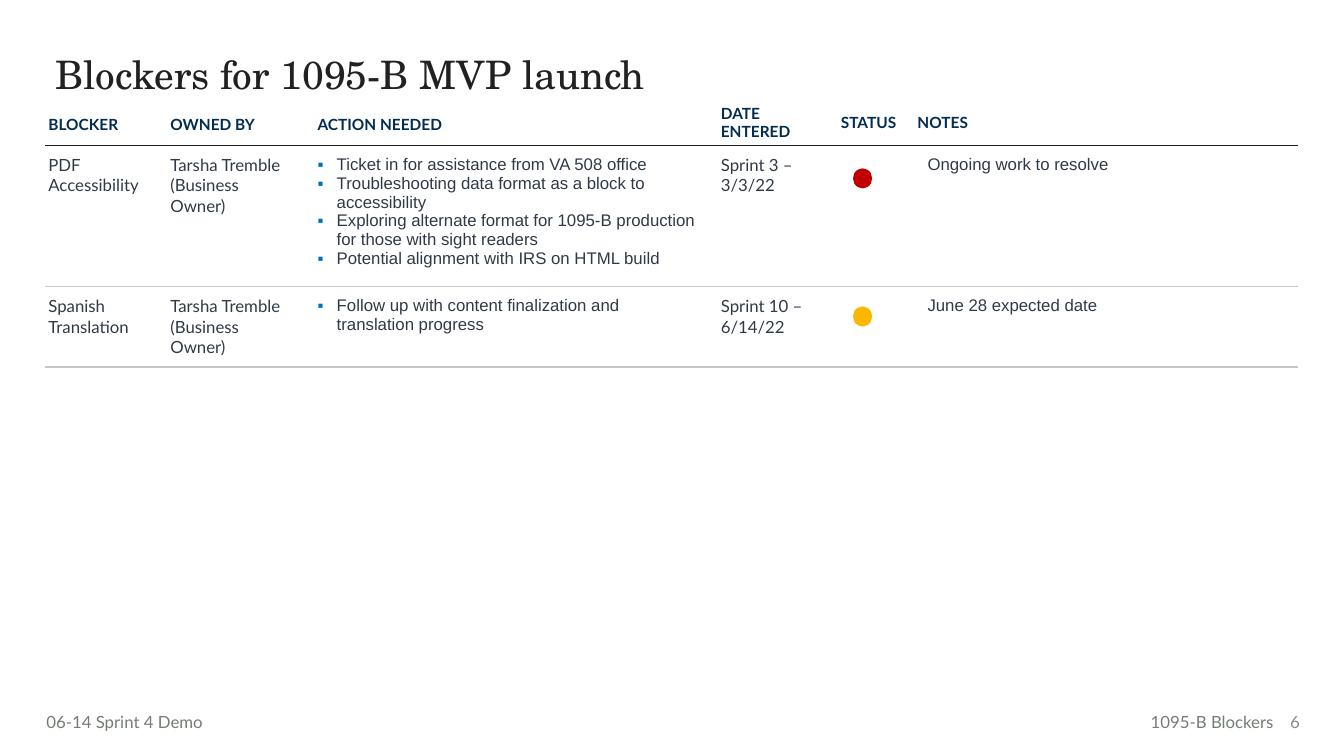
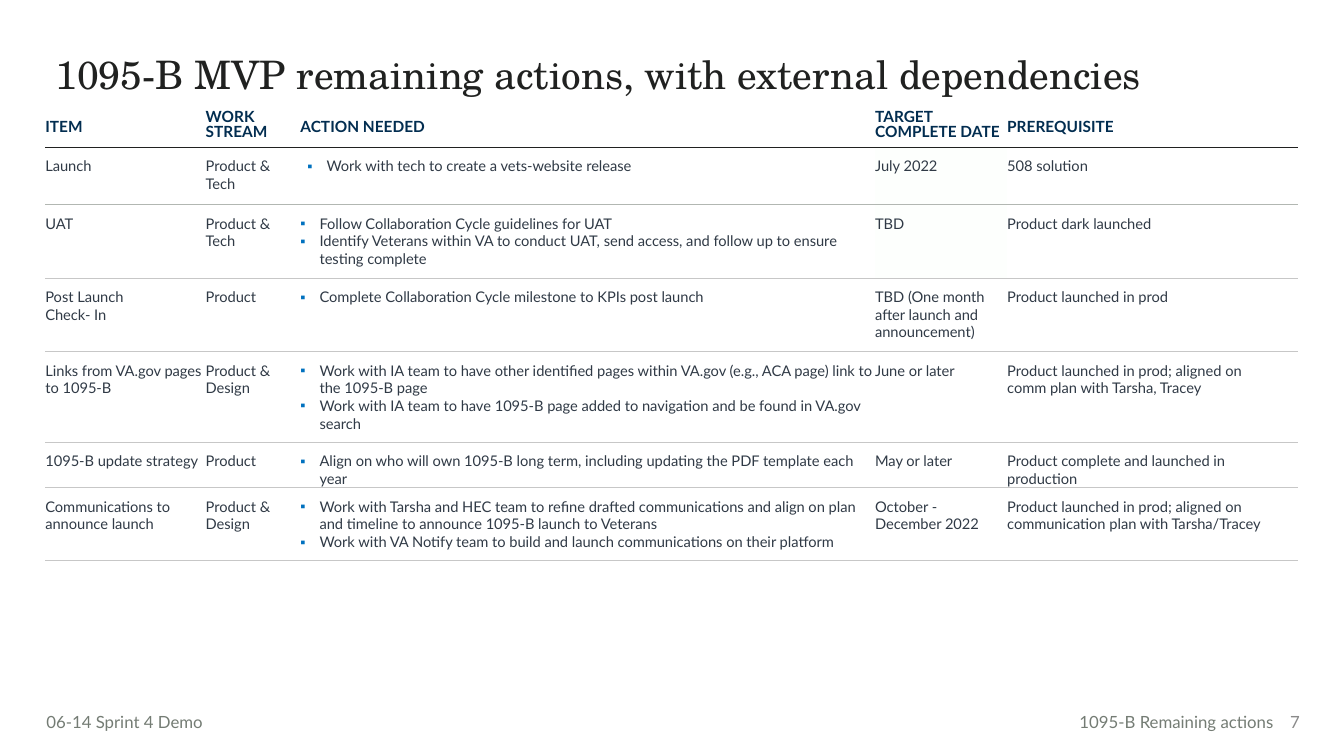
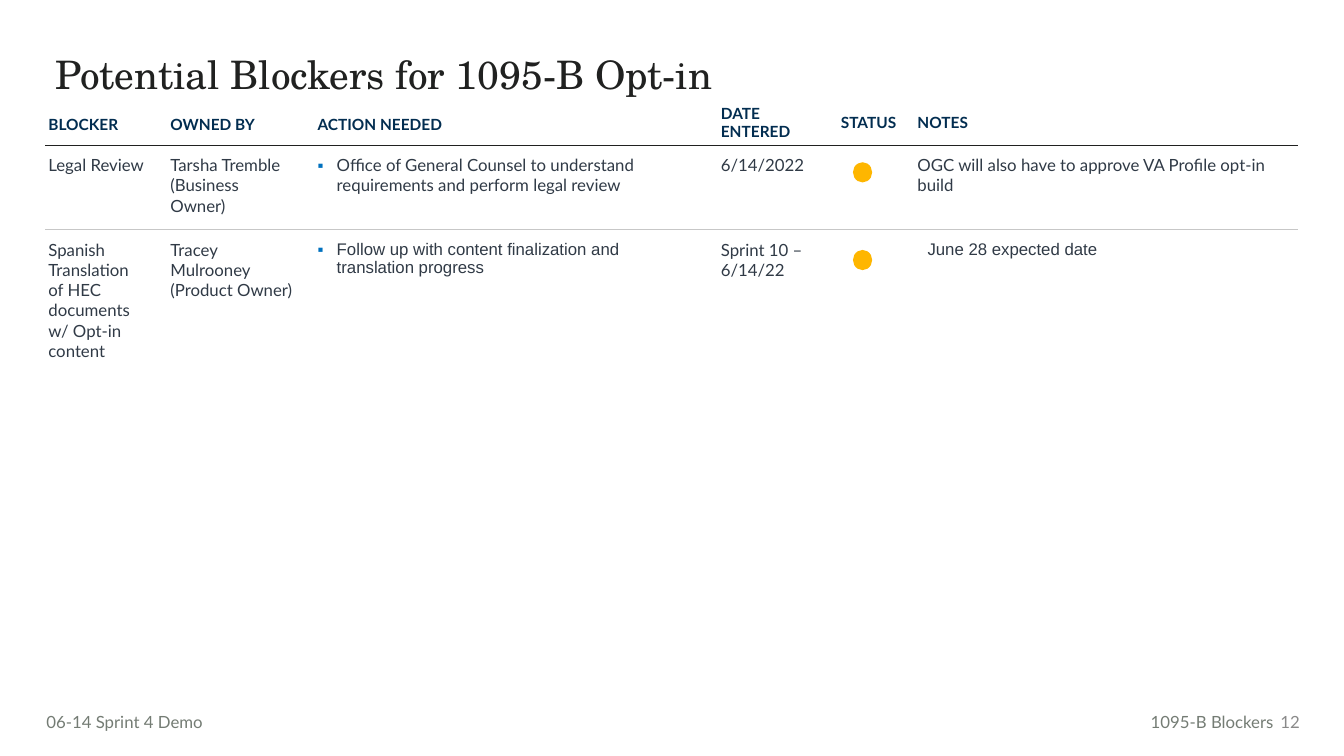
from dataclasses import dataclass
from typing import Any, Optional

import pptx
import pptx.dml.color
import pptx.enum.shapes
import pptx.enum.text
import pptx.oxml
import pptx.oxml.ns
import pptx.util

Inches = pptx.util.Inches
Pt = pptx.util.Pt
RGBColor = pptx.dml.color.RGBColor
Align = pptx.enum.text.PP_ALIGN
Anchor = pptx.enum.text.MSO_ANCHOR

INK = RGBColor(0x20, 0x21, 0x20)
NAVY = RGBColor(0x02, 0x2D, 0x50)
SLATE = RGBColor(0x30, 0x3A, 0x46)
BLUE = RGBColor(0x00, 0x71, 0xBF)
FOOTER_GRAY = RGBColor(0x74, 0x7C, 0x74)
NUMBER_GRAY = RGBColor(0x8A, 0x8A, 0x8A)
RULE_GRAY = RGBColor(0xC7, 0xC7, 0xC7)
RULE_DARK = RGBColor(0xB2, 0xB7, 0xB2)
PALE_GREEN = RGBColor(0xFD, 0xFF, 0xFD)
RED = RGBColor(0xC0, 0x00, 0x00)
AMBER = RGBColor(0xFE, 0xB6, 0x00)

LATO, ARIAL, SCHOLA = "Lato", "Arial", "TeX Gyre Schola"
TABLE_LEFT, TABLE_TOP, TABLE_WIDTH = 0.45, 1.0, 12.42
FOOTER_RIGHT = 12.73
DOT_LEFT, DOT_WIDTH, DOT_HEIGHT = 8.46, 0.19, 0.2
BULLET_COLUMN = 2
BULLET_HANG = 0.19


@dataclass(frozen=True)
class Style:
    size: float
    color: RGBColor
    font: str = LATO
    bold: bool = False


@dataclass(frozen=True)
class Rule:
    color: RGBColor = RULE_GRAY
    width: float = 1


@dataclass(frozen=True)
class Cell:
    """Table cell; a line break in the text starts a new paragraph."""
    text: str = ""
    font: str = LATO
    indent: float = 0
    spacing: float = 1
    anchor: Anchor = Anchor.TOP
    fill: Optional[RGBColor] = None


@dataclass(frozen=True)
class Row:
    height: float
    cells: tuple[Cell, ...]
    below: Optional[Rule] = Rule()
    tight: tuple[int, ...] = ()  # columns without a right margin
    bottom: float = 0.1


@dataclass(frozen=True)
class Grid:
    columns: tuple[float, ...]
    left_margins: tuple[float, ...]
    right_margins: tuple[float, ...]
    head_bottom: float
    body: Style


@dataclass(frozen=True)
class Dot:
    top: float
    color: RGBColor


@dataclass(frozen=True)
class Page:
    title: str
    number: int
    footer: str
    footer_width: float
    grid: Grid
    rows: tuple[Row, ...]
    dots: tuple[Dot, ...] = ()


TITLE = Style(28, INK, SCHOLA)
HEAD = Style(11, NAVY, bold=True)
FOOTER = Style(12, FOOTER_GRAY)
NUMBER = Style(12, NUMBER_GRAY)

BLOCKER_GRID = Grid(
    columns=(1.21, 1.46, 4, 1.19, 0.69, 3.87),
    left_margins=(0.03, 0.03, 0.03, 0.03, 0.03, 0.1),
    right_margins=(0.2, 0.2, 0.2, 0.03, 0.03, 0.03),
    head_bottom=0.03,
    body=Style(12, SLATE),
)
ACTION_GRID = Grid(
    columns=(1.59, 0.94, 5.7, 1.31, 2.88),
    left_margins=(0,) * 5,
    right_margins=(0.2,) * 5,
    head_bottom=0,
    body=Style(10.5, SLATE),
)


def head(text: str, spacing: float = 1.15) -> Cell:
    return Cell(text, spacing=spacing, anchor=Anchor.MIDDLE)


def note(text: str) -> Cell:
    return Cell(text, font=ARIAL, indent=0.1)


BLOCKER_HEAD = Row(0.44, (
    head("BLOCKER"), head("OWNED BY"), head("ACTION NEEDED"),
    Cell("DATE\nENTERED"), head("STATUS", 1), head("NOTES", 1),
), Rule(INK))
TRANSLATION_STEP = Cell(
    "Follow up with content finalization and translation progress", ARIAL)
TRANSLATION_DATE = Cell("Sprint 10 –\n6/14/22")
TRANSLATION_NOTE = note("June 28 expected date")

PAGES = (
    Page("Blockers for 1095-B MVP launch", 6, "1095-B Blockers", 1.64, BLOCKER_GRID, (
        BLOCKER_HEAD,
        Row(1.32, (
            Cell("PDF Accessibility"),
            Cell("Tarsha Tremble (Business Owner)"),
            Cell("Ticket in for assistance from VA 508 office\n"
                 "Troubleshooting data format as a block to accessibility\n"
                 "Exploring alternate format for 1095-B production "
                 "for those with sight readers\n"
                 "Potential alignment with IRS on HTML build", ARIAL),
            Cell("Sprint 3 – 3/3/22"), Cell(), note("Ongoing work to resolve"),
        )),
        Row(0.8, (
            Cell("Spanish Translation"), Cell("Tarsha Tremble\n(Business Owner)"),
            TRANSLATION_STEP, TRANSLATION_DATE, Cell(), TRANSLATION_NOTE,
        )),
        Row(0.28, (Cell(),) * 6, None),
    ), (Dot(1.67, RED), Dot(3.04, AMBER))),
    Page("1095-B MVP remaining actions, with external dependencies", 7,
         "1095-B Remaining actions", 2.19, ACTION_GRID, (
        Row(0.46, (
            head("ITEM"), head("WORK STREAM", 0.8), head("ACTION NEEDED"),
            head("TARGET\nCOMPLETE DATE", 0.8), head("PREREQUISITE"),
        ), Rule(INK, 0.75)),
        Row(0.57, (
            Cell("Launch"), Cell("Product & Tech"),
            Cell("Work with tech to create a vets-website release", indent=0.07),
            Cell("July 2022", fill=PALE_GREEN), Cell("508 solution"),
        ), Rule(RULE_DARK)),
        Row(0.73, (
            Cell("UAT"), Cell("Product & Tech"),
            Cell("Follow Collaboration Cycle guidelines for UAT\n"
                 "Identify Veterans within VA to conduct UAT, send access, "
                 "and follow up to ensure testing complete"),
            Cell("TBD", fill=PALE_GREEN), Cell("Product dark launched"),
        )),
        Row(0.73, (
            Cell("Post Launch\nCheck- In"), Cell("Product"),
            Cell("Complete Collaboration Cycle milestone to KPIs post launch"),
            Cell("TBD (One month after launch and announcement)"),
            Cell("Product launched in prod"),
        )),
        Row(0.9, (
            Cell("Links from VA.gov pages to 1095-B"), Cell("Product & Design"),
            Cell("Work with IA team to have other identified pages within VA.gov "
                 "(e.g., ACA page) link to the 1095-B page\n"
                 "Work with IA team to have 1095-B page added to navigation "
                 "and be found in VA.gov search"),
            Cell("June or later"),
            Cell("Product launched in prod; aligned on comm plan with Tarsha, Tracey"),
        ), tight=(0, 2)),
        Row(0.45, (
            Cell("1095-B update strategy"), Cell("Product"),
            Cell("Align on who will own 1095-B long term, including updating "
                 "the PDF template each year"),
            Cell("May or later"), Cell("Product complete and launched in production"),
        ), tight=(0, 2, 4), bottom=0),
        Row(0.72, (
            Cell("Communications to announce launch"), Cell("Product & Design"),
            Cell("Work with Tarsha and HEC team to refine drafted communications and "
                 "align on plan and timeline to announce 1095-B launch to Veterans\n"
                 "Work with VA Notify team to build and launch communications "
                 "on their platform"),
            Cell("October - December 2022"),
            Cell("Product launched in prod; aligned on communication plan "
                 "with Tarsha/Tracey"),
        ), tight=(0, 2, 4)),
    )),
    Page("Potential Blockers for 1095-B Opt-in", 12, "1095-B Blockers", 1.64, BLOCKER_GRID, (
        BLOCKER_HEAD,
        Row(0.84, (
            Cell("Legal Review"), Cell("Tarsha Tremble (Business Owner)"),
            Cell("Office of General Counsel to understand requirements "
                 "and perform legal review"),
            Cell("6/14/2022"), Cell(),
            Cell("OGC will also have to approve VA Profile opt-in build"),
        )),
        Row(1.4, (
            Cell("Spanish Translation of HEC documents w/ Opt-in content"),
            Cell("Tracey Mulrooney\n(Product Owner)"),
            TRANSLATION_STEP, TRANSLATION_DATE, Cell(), TRANSLATION_NOTE,
        ), None),
    ), (Dot(1.61, AMBER), Dot(2.48, AMBER))),
)


def set_all(target: Any, values: dict[str, Any]) -> None:
    for name, value in values.items():
        setattr(target, name, value)


def write(para: Any, text: str, style: Style, font: str) -> None:
    span = para.add_run()
    span.text = text
    set_all(span.font, {"size": Pt(style.size), "name": font, "bold": style.bold})
    span.font.color.rgb = style.color


def add_xml(parent: Any, position: int, markup: str) -> None:
    namespace = pptx.oxml.ns.nsdecls("a")
    parent.insert(position, pptx.oxml.parse_xml(markup.replace("NS", namespace, 1)))


def indent_para(para: Any, left: float, bulleted: bool) -> None:
    properties = para._p.get_or_add_pPr()
    hang = BULLET_HANG if bulleted else 0
    properties.set("marL", str(Inches(left + hang)))
    properties.set("indent", str(-Inches(hang)))
    if bulleted:
        for markup in (f'<a:buClr NS><a:srgbClr val="{BLUE}"/></a:buClr>',
                       f'<a:buFont NS typeface="{ARIAL}"/>',
                       '<a:buChar NS char="▪"/>'):
            add_xml(properties, len(properties), markup)


def set_borders(cell: Any, above: Optional[Rule], below: Optional[Rule]) -> None:
    properties = cell._tc.get_or_add_tcPr()
    sides = (("lnL", None), ("lnR", None), ("lnT", above), ("lnB", below))
    for position, (side, rule) in enumerate(sides):
        if rule:
            markup = (f'<a:{side} NS w="{Pt(rule.width)}"><a:solidFill>'
                      f'<a:srgbClr val="{rule.color}"/></a:solidFill></a:{side}>')
        else:
            markup = f'<a:{side} NS w="0"><a:noFill/></a:{side}>'
        add_xml(properties, position, markup)


def fill_cell(target: Any, cell: Cell, style: Style, bulleted: bool) -> None:
    target.vertical_anchor = cell.anchor
    if cell.fill:
        target.fill.solid()
        target.fill.fore_color.rgb = cell.fill
    else:
        target.fill.background()
    if not cell.text:
        return
    frame = target.text_frame
    for index, line in enumerate(cell.text.split("\n")):
        para = frame.add_paragraph() if index else frame.paragraphs[0]
        para.line_spacing = cell.spacing
        indent_para(para, cell.indent, bulleted)
        write(para, line, style, cell.font)


def add_grid(slide: Any, grid: Grid, rows: tuple[Row, ...]) -> None:
    height = sum(row.height for row in rows)
    table = slide.shapes.add_table(
        len(rows), len(grid.columns), Inches(TABLE_LEFT), Inches(TABLE_TOP),
        Inches(TABLE_WIDTH), Inches(height)).table
    set_all(table, {"first_row": False, "horz_banding": False})
    for column, width in zip(table.columns, grid.columns):
        column.width = Inches(width)
    above = None
    for row_index, row in enumerate(rows):
        table.rows[row_index].height = Inches(row.height)
        is_head = row_index == 0
        for column_index, cell in enumerate(row.cells):
            right = 0.03 if is_head else grid.right_margins[column_index]
            target = table.cell(row_index, column_index)
            set_all(target, {
                "margin_left": Inches(grid.left_margins[column_index]),
                "margin_right": Inches(0 if column_index in row.tight else right),
                "margin_top": Inches(0.03 if is_head else 0.1),
                "margin_bottom": Inches(grid.head_bottom if is_head else row.bottom),
            })
            fill_cell(target, cell, HEAD if is_head else grid.body,
                      column_index == BULLET_COLUMN and not is_head)
            set_borders(target, above, row.below)
        above = row.below


def add_text(slide: Any, text: str, style: Style, left: float, top: float, width: float,
             height: float, align: Align = Align.LEFT, anchor: Anchor = Anchor.TOP,
             inset: float = 0.1, spacing: float = 1) -> None:
    box = slide.shapes.add_textbox(Inches(left), Inches(top), Inches(width), Inches(height))
    set_all(box.text_frame, {"word_wrap": True, "vertical_anchor": anchor,
                             "margin_left": Inches(inset)})
    para = box.text_frame.paragraphs[0]
    set_all(para, {"alignment": align, "line_spacing": spacing})
    write(para, text, style, style.font)


def add_dot(slide: Any, dot: Dot) -> None:
    shape = slide.shapes.add_shape(
        pptx.enum.shapes.MSO_SHAPE.OVAL, Inches(DOT_LEFT), Inches(dot.top),
        Inches(DOT_WIDTH), Inches(DOT_HEIGHT))
    shape.shadow.inherit = False
    shape.fill.solid()
    shape.fill.fore_color.rgb = dot.color
    shape.line.fill.background()


def add_page(deck: Any, page: Page) -> None:
    slide = deck.slides.add_slide(deck.slide_layouts[6])
    add_text(slide, page.title, TITLE, TABLE_LEFT, 0.5, TABLE_WIDTH, 0.67, spacing=0.9)
    add_grid(slide, page.grid, page.rows)
    for dot in page.dots:
        add_dot(slide, dot)
    add_text(slide, str(page.number), NUMBER, 12.55, 6.96, 0.44, 0.4,
             Align.RIGHT, Anchor.MIDDLE)
    add_text(slide, page.footer, FOOTER, FOOTER_RIGHT - page.footer_width, 7.01,
             page.footer_width, 0.3, Align.RIGHT)
    add_text(slide, "06-14 Sprint 4 Demo", FOOTER, 0.46, 7.01, 2.98, 0.3, inset=0)


def main() -> None:
    deck = pptx.Presentation()
    set_all(deck, {"slide_width": Inches(13.33), "slide_height": Inches(7.5)})
    for page in PAGES:
        add_page(deck, page)
    deck.save("out.pptx")


if __name__ == "__main__":
    main()
